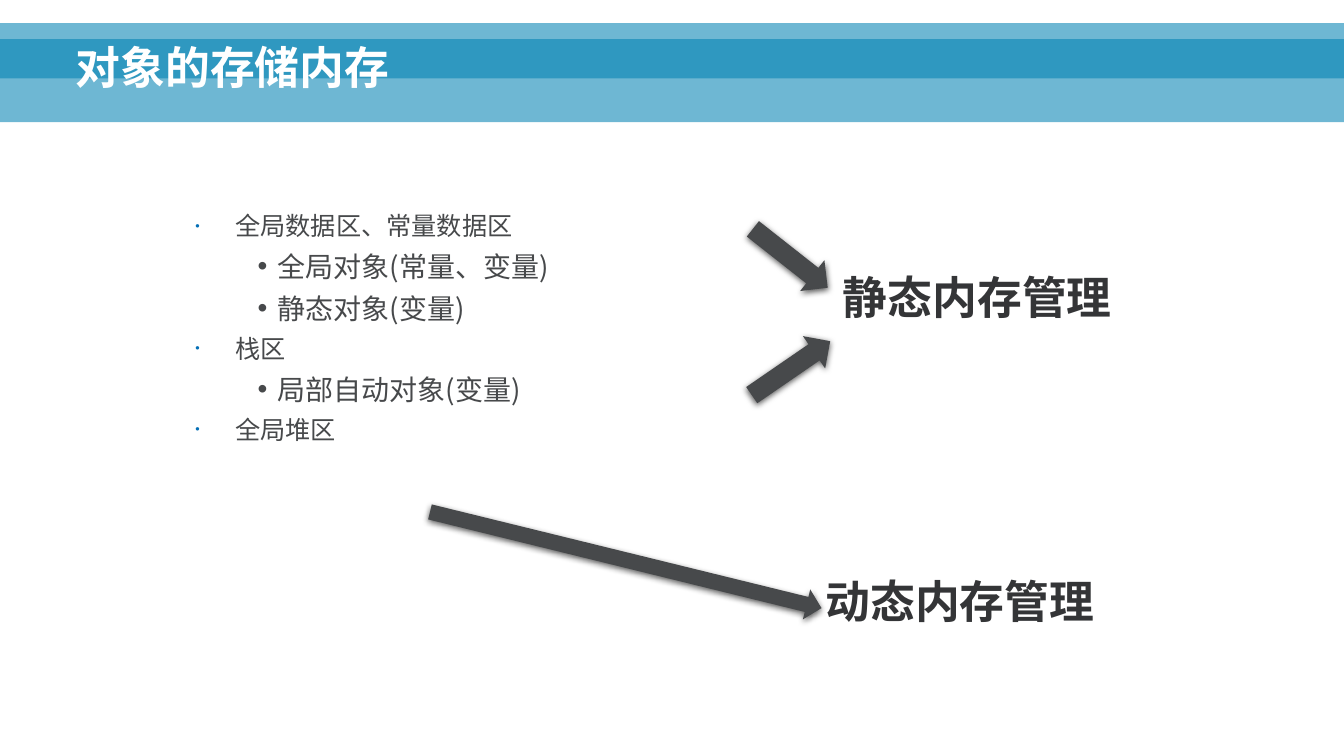
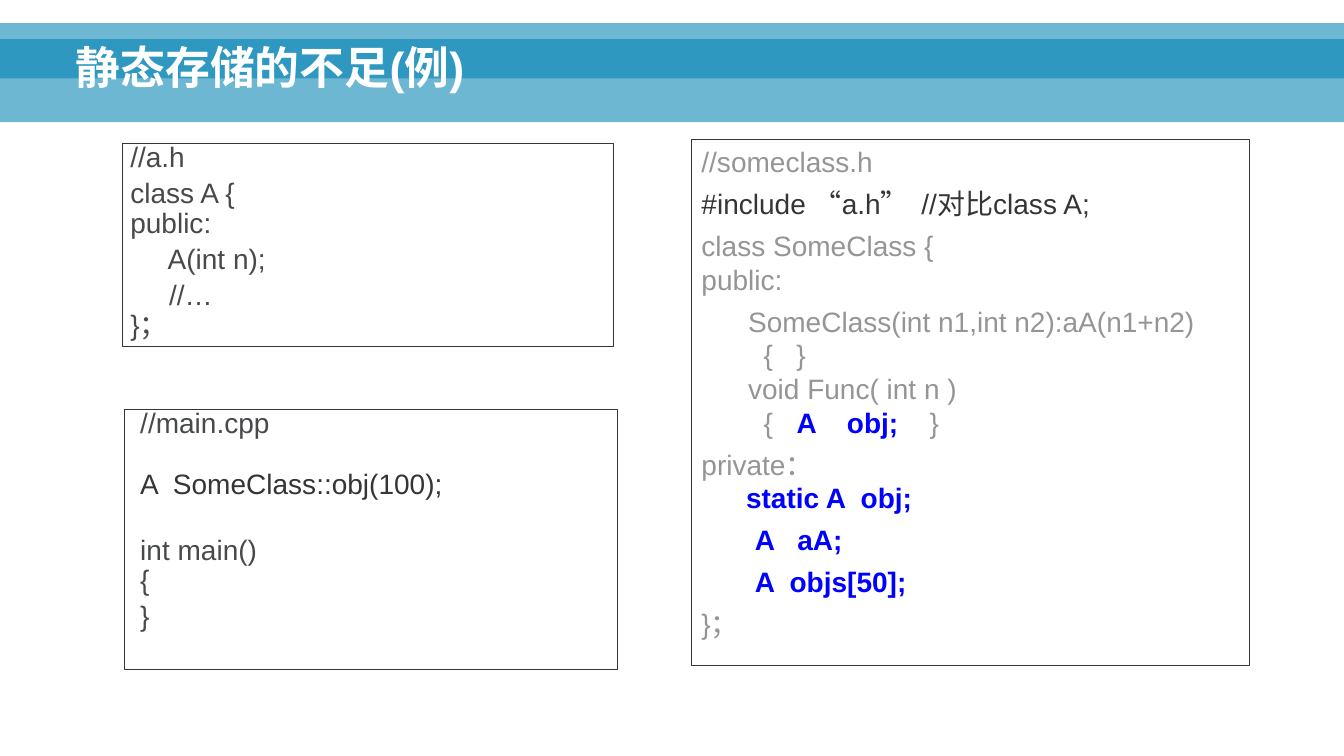
from lxml.etree import SubElement
from pptx import Presentation
from pptx.dml.color import RGBColor
from pptx.enum.shapes import MSO_SHAPE as Shape
from pptx.enum.text import MSO_ANCHOR as Anchor, PP_ALIGN as Align
from pptx.oxml.ns import qn
from pptx.util import Pt

WIDE, HIGH = 960, 540
WHITE = RGBColor(0xFF, 0xFF, 0xFF)
BAND = RGBColor(0x00, 0x82, 0xB3)
DARK = RGBColor(0x34, 0x35, 0x37)
SLATE = RGBColor(0x47, 0x49, 0x4B)
GREY = RGBColor(0x95, 0x95, 0x96)
BLUE = RGBColor(0x00, 0x00, 0xFF)
LATIN, HAN = "Arial", "Noto Sans CJK SC"
PAD = (7.2, 3.6, 7.2, 3.6)
FLUSH = (0, 0, 0, 0)

AREAS = [
    (0, "全局数据区、常量数据区"),
    (1, "全局对象(常量、变量)"),
    (1, "静态对象(变量)"),
    (0, "栈区"),
    (1, "局部自动对象(变量)"),
    (0, "全局堆区"),
]
HEADER = [
    [("//a.h", SLATE)],
    [("class A {\npublic:", SLATE)],
    [("     A(int n);", SLATE)],
    [("     //…\n}；", SLATE)],
]
MAIN = [
    [("//main.cpp\n\n", SLATE), ("A  SomeClass::obj(100);", DARK)],
    [("\nint main()\n{", SLATE)],
    [("}", SLATE)],
]
OWNER = [
    [("//someclass.h", GREY)],
    [("#include “a.h”  //对比class A;", DARK)],
    [("class SomeClass {\npublic:", GREY)],
    [("      SomeClass(int n1,int n2):aA(n1+n2)\n        {   }\n"
      "      void Func( int n )\n        {   ", GREY),
     ("A    obj;   ", BLUE), (" }", GREY)],
    [("private：\n", GREY), ("       static A  obj;", BLUE)],
    [("       A   aA;", BLUE)],
    [("       A  objs[50];", BLUE)],
    [("}；", GREY)],
]


def points(*sizes):
    """Turn numbers into point lengths."""
    return [Pt(size) for size in sizes]


def style(font, size, color, bold=False, name=LATIN):
    """Set a font for Latin and Chinese text."""
    font.size, font.bold, font.name = Pt(size), bold, name
    font.color.rgb = color
    SubElement(font._element, qn("a:ea"), typeface=HAN)


def setup(frame, pad, anchor=Anchor.TOP):
    """Set the insets, anchor and wrapping of a text frame."""
    frame.word_wrap = True
    frame.vertical_anchor = anchor
    (frame.margin_left, frame.margin_top,
     frame.margin_right, frame.margin_bottom) = points(*pad)


def lines(frame, items):
    """Yield one paragraph for each item."""
    for at, item in enumerate(items):
        yield at, (frame.add_paragraph() if at else frame.paragraphs[0]), item


def block(slide, kind, box, color):
    """Draw a filled shape without outline or shadow."""
    shape = slide.shapes.add_shape(kind, *points(*box))
    shape.shadow.inherit = False
    shape.fill.solid()
    shape.fill.fore_color.rgb = color
    shape.line.fill.background()
    return shape


def alpha(parent, share):
    """Make a colour element partly opaque."""
    SubElement(parent, qn("a:alpha"), val=str(share * 1000))


def label(slide, box, text, color, pad=FLUSH, anchor=Anchor.TOP):
    """Write one large bold line."""
    frame = slide.shapes.add_textbox(*points(*box)).text_frame
    setup(frame, pad, anchor)
    para = frame.paragraphs[0]
    para.text = text
    para.line_spacing = 0.9
    style(para.font, 32, color, True)


def start(deck, title):
    """Add a slide with the bands and its title."""
    slide = deck.slides.add_slide(deck.slide_layouts[6])
    for top, high in ((28, 59.3), (16.5, 39.5)):
        band = block(slide, Shape.RECTANGLE, (0, top, WIDE, high), BAND)
        alpha(next(band._element.spPr.iter(qn("a:srgbClr"))), 57)
    label(slide, (47, 8.5, 863, 62.5), title, WHITE, PAD, Anchor.BOTTOM)
    return slide


def bullet(para, level):
    """Give a paragraph the bullet and indent of its level."""
    left, hang = ((28.5, 28.5), (58.5, 14))[level]
    props = para._p.get_or_add_pPr()
    props.set("marL", str(Pt(left)))
    props.set("indent", str(-Pt(hang)))
    if level == 0:
        tint = SubElement(props, qn("a:buClr"))
        SubElement(tint, qn("a:srgbClr"), val="046FB6")
        SubElement(props, qn("a:buSzPct"), val="50000")
    SubElement(props, qn("a:buFont"), typeface=LATIN)
    SubElement(props, qn("a:buChar"), char="•")


def outline(slide, box, items):
    """Write a bulleted list of two levels."""
    frame = slide.shapes.add_textbox(*points(*box)).text_frame
    setup(frame, PAD, Anchor.MIDDLE)
    for at, para, (level, text) in lines(frame, items):
        para.text = text
        bullet(para, level)
        para.space_before = Pt(3 if at else 0)
        para.space_after = Pt(3)
        style(para.font, (18, 20)[level], SLATE, name=HAN)


def arrow(slide, box, turn):
    """Draw a turned block arrow with a soft shadow."""
    shape = block(slide, Shape.RIGHT_ARROW, box, SLATE)
    shape.rotation = turn
    effects = shape._element.spPr.find(qn("a:effectLst"))
    shade = SubElement(effects, qn("a:outerShdw"), blurRad=str(Pt(4.5)),
                       dist=str(Pt(1.5)), dir="5400000", rotWithShape="0")
    alpha(SubElement(shade, qn("a:srgbClr"), val="000000"), 63)


def code(slide, box, listing, pad, before, after=0, pitch=1.0):
    """Write a code listing in a thin frame."""
    shape = slide.shapes.add_shape(Shape.RECTANGLE, *points(*box))
    shape.shadow.inherit = False
    shape.fill.background()
    shape.line.color.rgb = DARK
    shape.line.width = Pt(0.75)
    frame = shape.text_frame
    setup(frame, pad)
    for at, para, parts in lines(frame, listing):
        para.alignment = Align.LEFT
        para.line_spacing = pitch
        para.space_before = Pt(before if at else 0)
        para.space_after = Pt(after)
        for text, color in parts:
            for row, piece in enumerate(text.split("\n")):
                if row:
                    para.add_line_break()
                if piece:
                    run = para.add_run()
                    run.text = piece
                    style(run.font, 20, color, color == BLUE)
        for gap in para._p.findall(qn("a:br")):
            SubElement(gap, qn("a:rPr"), sz="2000")


def memory(deck):
    """Build the slide on where objects are stored."""
    slide = start(deck, "对象的存储内存")
    outline(slide, (132.5, 126, 397, 216), AREAS)
    for box, turn in (((530.5, 170.5, 68, 28), 38.2),
                      ((531, 249, 68, 28), 325.5),
                      ((303, 389, 288, 22), 13.8)):
        arrow(slide, box, turn)
    label(slide, (602, 197, 196, 35), "静态内存管理", DARK)
    label(slide, (589.6, 414, 196, 35), "动态内存管理", DARK)


def limits(deck):
    """Build the slide of code on static storage."""
    slide = start(deck, "静态存储的不足(例)")
    code(slide, (494, 99.8, 398.6, 375.6), OWNER, (7.2, 3.6, 7.2, 3.6), 3, 3)
    code(slide, (87.6, 102.4, 350.8, 145.2), HEADER, (5.5, 0, 0, 0), 4, 0, 0.9)
    code(slide, (89, 292.4, 352, 185.8), MAIN, (11.2, 0, 0, 0), 4, 0, 0.9)


def main():
    """Build and save the deck."""
    deck = Presentation()
    deck.slide_width, deck.slide_height = points(WIDE, HIGH)
    memory(deck)
    limits(deck)
    deck.save("out.pptx")


if __name__ == "__main__":
    main()
